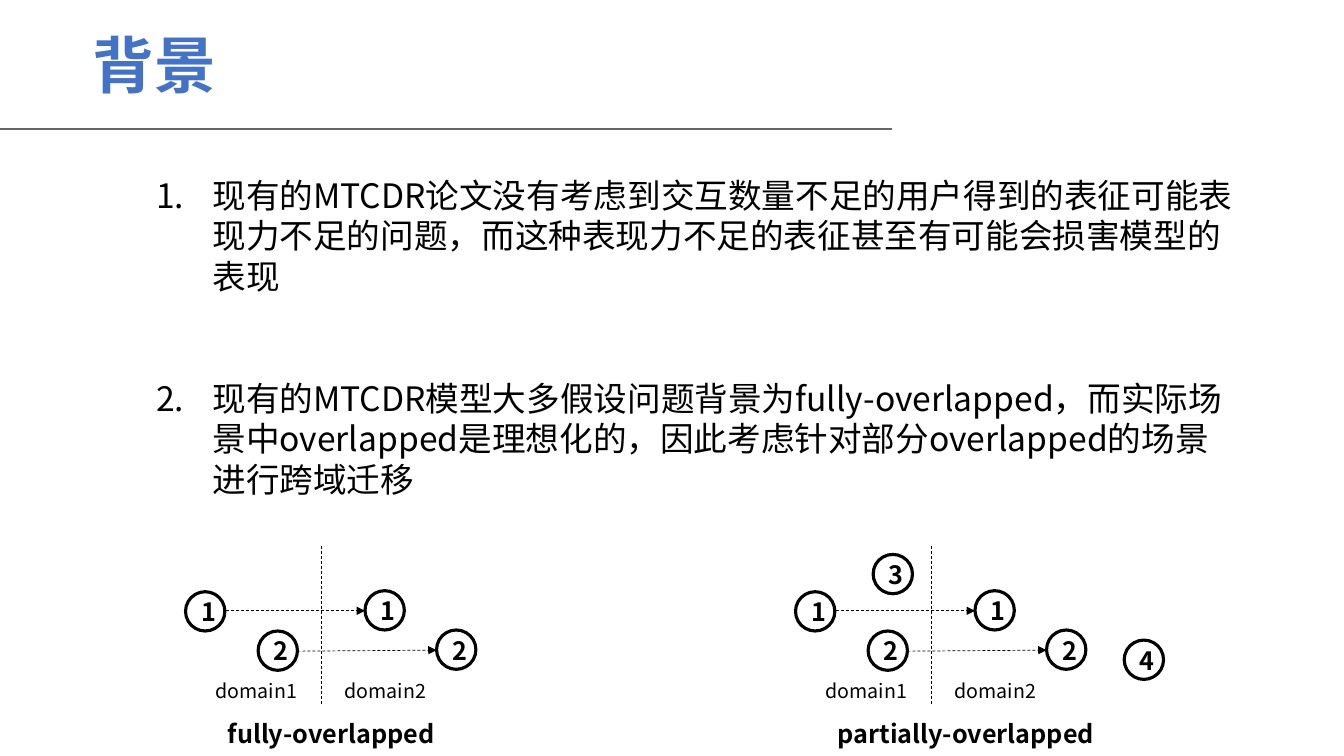
import pptx
import pptx.dml.color
import pptx.enum.dml
import pptx.enum.shapes
import pptx.enum.text
import pptx.util
from lxml import etree
from pptx.oxml.ns import qn
from pptx.util import Inches

FONT = "Noto Sans CJK SC"
COLORS = {"title": "4472C4", "ink": "000000", "rule": "666666"}
POINTS = [
    "现有的MTCDR论文没有考虑到交互数量不足的用户得到的表征可能表现力不足的问题，"
    "而这种表现力不足的表征甚至有可能会损害模型的表现",
    "现有的MTCDR模型大多假设问题背景为fully-overlapped，而实际场景中overlapped"
    "是理想化的，因此考虑针对部分overlapped的场景进行跨域迁移",
]
USERS = [("1", 1.84, 5.87), ("2", 2.56, 6.26), ("1", 3.62, 5.86), ("2", 4.33, 6.25)]
LINKS = [(2.24, 6.06, 3.62, 6.06), (2.95, 6.46, 4.33, 6.45)]
DOMAINS = [("domain1", 2.04), ("domain2", 3.32)]
EXTRAS = [("3", 8.66, 5.5), ("4", 11.15, 6.35)]
SHIFT = 6.05


def rgb(name):
    """Return the named colour."""
    return pptx.dml.color.RGBColor.from_string(COLORS[name])


def write(para, text, size=18, bold=False, color="ink", lead=1.21, number=False):
    """Write one formatted paragraph."""
    if number:
        props = para._p.get_or_add_pPr()
        props.set("marL", str(Inches(0.56)))
        props.set("indent", str(-Inches(0.56)))
        etree.SubElement(props, qn("a:buFont"), typeface="+mj-lt")
        etree.SubElement(props, qn("a:buAutoNum"), type="arabicPeriod")
    para.line_spacing = pptx.util.Pt(round(size * lead))
    run = para.add_run()
    run.text = text
    font = run.font
    font.name, font.size, font.bold = FONT, pptx.util.Pt(size), bold
    font.color.rgb = rgb(color)
    latin = font._element.find(qn("a:latin"))
    latin.addnext(etree.Element(qn("a:ea"), typeface=FONT))


def add_box(slide, x, y, w, h):
    """Add a wrapping text box and return its frame."""
    box = slide.shapes.add_textbox(Inches(x), Inches(y), Inches(w), Inches(h))
    box.text_frame.word_wrap = True
    return box.text_frame


def add_label(slide, text, x, y, w, h, **style):
    """Add a text box with one paragraph."""
    write(add_box(slide, x, y, w, h).paragraphs[0], text, **style)


def add_list(slide):
    """Add the numbered points."""
    frame = add_box(slide, 1.45, 1.68, 10.9, 3.33)
    for i, text in enumerate(POINTS):
        para = frame.add_paragraph() if i else frame.paragraphs[0]
        if i:
            para.space_before = pptx.util.Pt(58)
        write(para, text, size=24, number=True)


def add_user(slide, text, x, y):
    """Add a ringed user number."""
    ring = slide.shapes.add_shape(
        pptx.enum.shapes.MSO_SHAPE.OVAL, Inches(x), Inches(y), Inches(0.39), Inches(0.39))
    ring.shadow.inherit = False
    ring.fill.background()
    ring.line.color.rgb = rgb("ink")
    ring.line.width = pptx.util.Pt(2.25)
    ring.text_frame.vertical_anchor = pptx.enum.text.MSO_ANCHOR.MIDDLE
    para = ring.text_frame.paragraphs[0]
    para.alignment = pptx.enum.text.PP_ALIGN.CENTER
    write(para, text, bold=True)


def add_line(slide, x1, y1, x2, y2, color="ink", width=0.5, dash=True, arrow=False):
    """Add a straight line, dashed or with an arrowhead on request."""
    line = slide.shapes.add_connector(
        pptx.enum.shapes.MSO_CONNECTOR.STRAIGHT,
        Inches(x1), Inches(y1), Inches(x2), Inches(y2))
    line.line.color.rgb = rgb(color)
    line.line.width = pptx.util.Pt(width)
    if dash:
        line.line.dash_style = pptx.enum.dml.MSO_LINE.DASH
    props = line._element.spPr
    if arrow:
        etree.SubElement(props.find(qn("a:ln")), qn("a:tailEnd"), type="triangle")
    etree.SubElement(props, qn("a:effectLst"))


def add_graph(slide, name, dx, width):
    """Add one overlap diagram, moved right by dx."""
    for text, x, y in USERS:
        add_user(slide, text, x + dx, y)
    add_line(slide, 3.19 + dx, 5.42, 3.19 + dx, 6.98)
    for x1, y1, x2, y2 in LINKS:
        add_line(slide, x1 + dx, y1, x2 + dx, y2, arrow=True)
    for text, x in DOMAINS:
        add_label(slide, text, x + dx, 6.68, 1.03, 0.34, size=14)
    add_label(slide, name, 2.16 + dx, 7.07, width, 0.4, bold=True)


def main():
    """Build and save the slide."""
    deck = pptx.Presentation()
    deck.slide_width, deck.slide_height = Inches(13.33), Inches(7.5)
    slide = deck.slides.add_slide(deck.slide_layouts[6])
    add_line(slide, 0, 1.28, 8.85, 1.28, color="rule", width=0.75, dash=False)
    add_label(slide, "背景", 0.82, 0.26, 8.03, 0.71,
              size=44, bold=True, color="title", lead=1.14)
    add_list(slide)
    add_graph(slide, "fully-overlapped", 0, 2.31)
    add_graph(slide, "partially-overlapped", SHIFT, 2.8)
    for text, x, y in EXTRAS:
        add_user(slide, text, x, y)
    deck.save("out.pptx")


if __name__ == "__main__":
    main()
